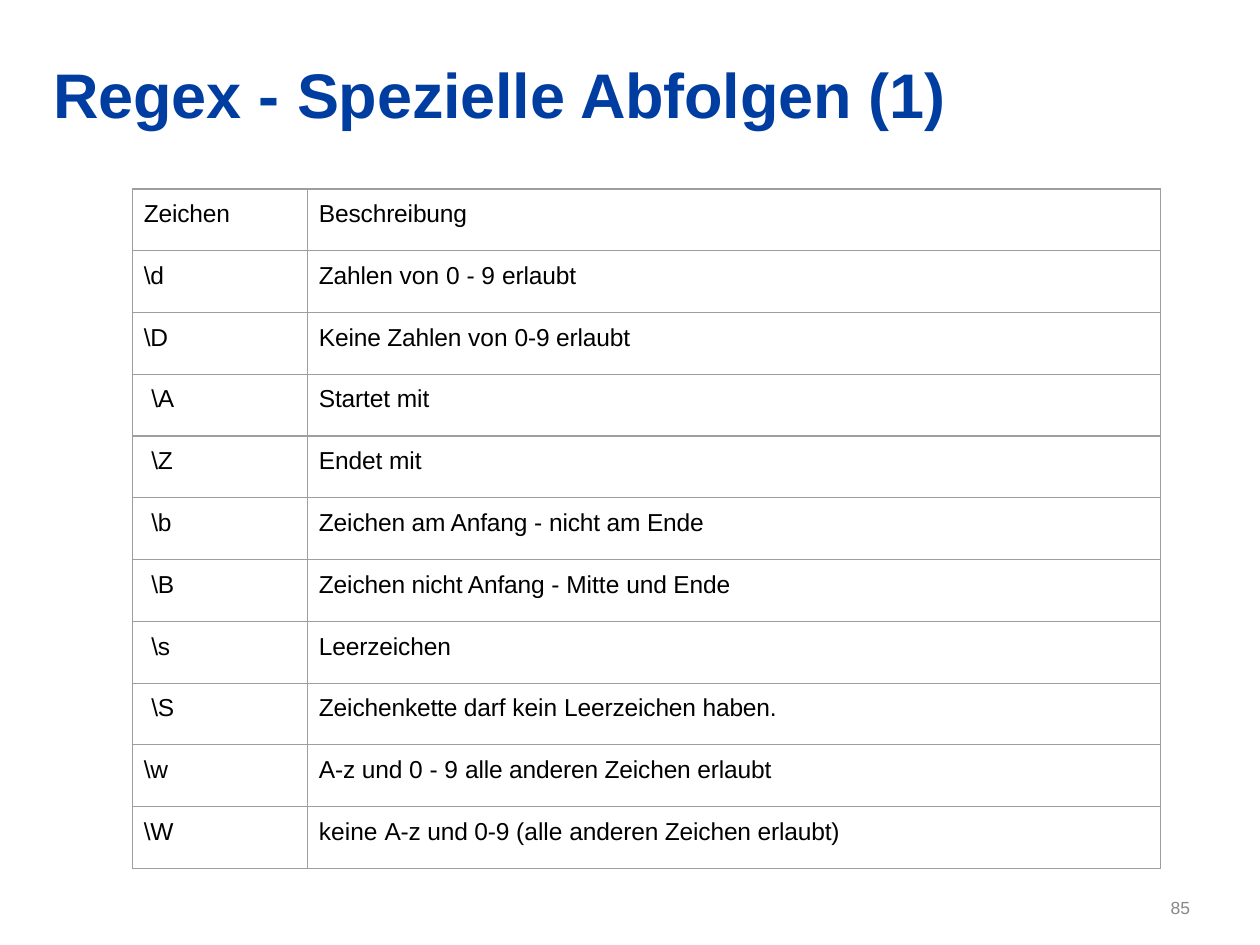
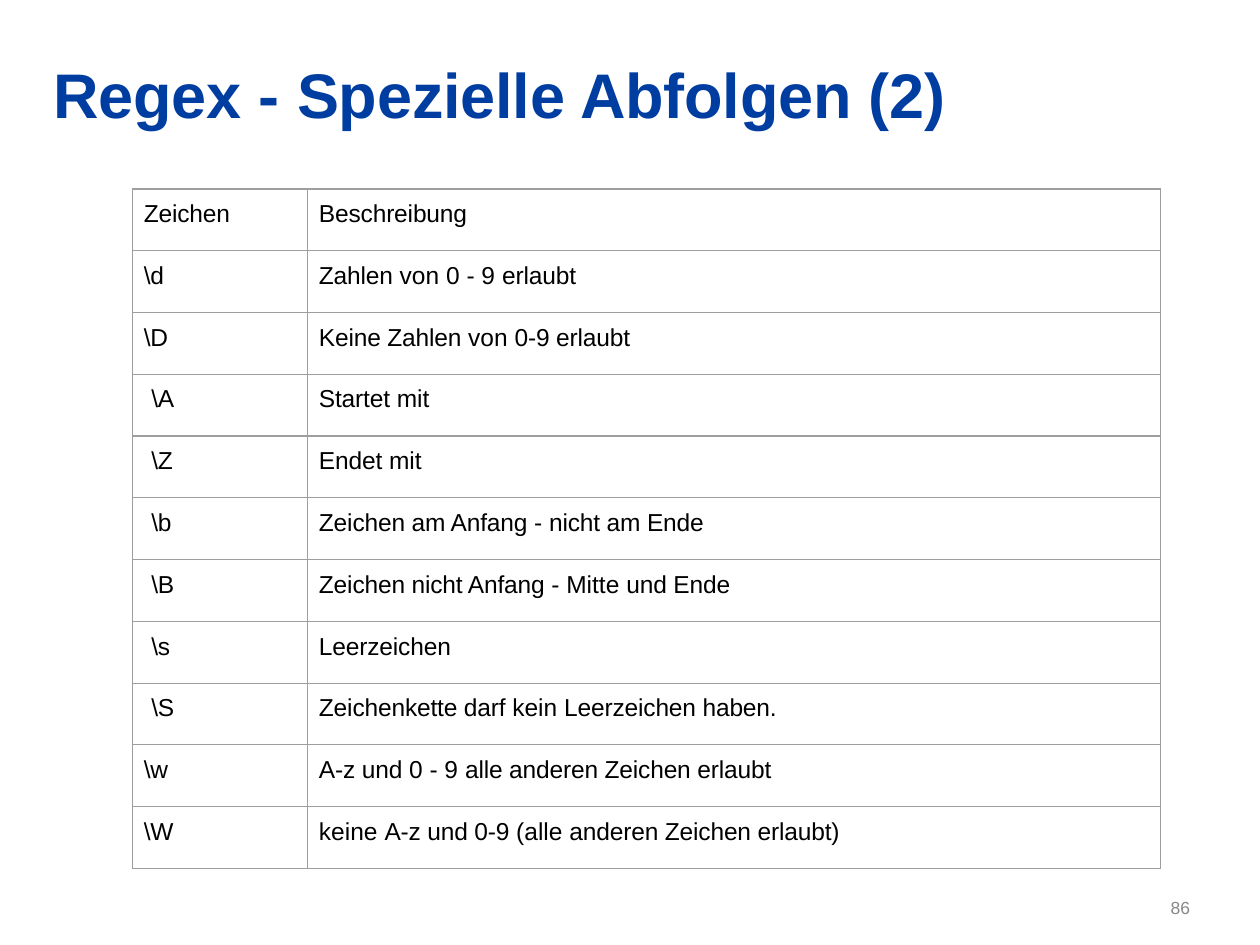
from lxml.etree import SubElement
from pptx import Presentation
from pptx.dml.color import RGBColor
from pptx.oxml.ns import qn
from pptx.util import Cm, Pt

BLUE = RGBColor(0x00, 0x3D, 0xA1)
BLACK = RGBColor(0x00, 0x00, 0x00)
GRAY = RGBColor(0x88, 0x88, 0x88)
BORDER = RGBColor(0x9E, 0x9E, 0x9E)

TITLE_FORMAT = {"name": "Arial", "size": Pt(36), "bold": True}
CELL_FORMAT = {"name": "Arial", "size": Pt(14), "bold": False}
NUMBER_FORMAT = {"name": "Arial", "size": Pt(10)}
NO_MARGINS = {"margin_left": 0, "margin_top": 0, "margin_right": 0, "margin_bottom": 0}
PLAIN_TABLE = {"first_row": False, "horz_banding": False}

COLUMN_WIDTHS = (Cm(3.53), Cm(17.2))
TABLE_HEIGHT = Cm(13.7)
CELL_INSET = Cm(0.23)
WIDE_INSET = Cm(0.38)
INDENTED = {r"\A", r"\Z", r"\b", r"\B", r"\s", r"\S"}
FIRST_NUMBER = 85

SEQUENCES = [
    ("Zeichen", "Beschreibung"),
    (r"\d", "Zahlen |von 0 - 9 |erlaubt"),
    (r"\D", "Keine Zahlen |von |0-9 erlaubt"),
    (r"\A", "Startet |mit"),
    (r"\Z", "Endet |mit"),
    (r"\b", "Zeichen am Anfang |- |nicht am Ende"),
    (r"\B", "Zeichen nicht Anfang |- Mitte |und Ende"),
    (r"\s", "Leerzeichen"),
    (r"\S", "Zeichenkette darf |kein |Leerzeichen haben."),
    (r"\w", "A-z und |0 - 9 |alle anderen Zeichen erlaubt"),
    (r"\W", "|keine |A-z und 0-9 |(alle |anderen Zeichen erlaubt)"),
]


def apply_values(target, values):
    """Set every attribute named in values on the target."""
    for name, value in values.items():
        setattr(target, name, value)


class RegexDeck:
    """Holds the deck style and the current slide."""

    def __init__(self):
        self.deck = Presentation()
        apply_values(self.deck, {"slide_width": Cm(25.4), "slide_height": Cm(19.05)})
        self.page = None

    def add_page(self):
        """Start a new blank slide."""
        self.page = self.deck.slides.add_slide(self.deck.slide_layouts[6])

    def fill_frame(self, frame, text, style, color):
        """Set text whose parts, split at bars, alternate tight and normal spacing."""
        para = frame.paragraphs[0]
        for index, part in enumerate(text.split("|")):
            if part:
                span = para.add_run()
                span.text = part
                apply_values(span.font, style)
                span.font.color.rgb = color
                if index % 2 == 0:
                    span._r.get_or_add_rPr().set("spc", "-10")

    def add_text(self, text, place, style, color):
        """Add a text box without margins."""
        box = self.page.shapes.add_textbox(*place)
        apply_values(box.text_frame, NO_MARGINS | {"word_wrap": True})
        self.fill_frame(box.text_frame, text, style, color)

    def add_title(self, text):
        """Add the slide title."""
        self.add_text(text, (Cm(1.07), Cm(1.12), Cm(18.2), Cm(1.6)), TITLE_FORMAT, BLUE)

    def add_number(self, number):
        """Add the slide number at the lower right."""
        place = (Cm(23.6), Cm(18.08), Cm(0.8), Cm(0.46))
        self.add_text(f"|{number}", place, NUMBER_FORMAT, GRAY)

    def add_borders(self, cell):
        """Draw a thin line on all four sides of a cell."""
        properties = cell._tc.get_or_add_tcPr()
        for side in ("a:lnL", "a:lnR", "a:lnT", "a:lnB"):
            line = SubElement(properties, qn(side), w=str(Pt(0.75)))
            fill = SubElement(line, qn("a:solidFill"))
            SubElement(fill, qn("a:srgbClr"), val=str(BORDER))

    def add_table(self, rows):
        """Add the bordered table of sequences."""
        table = self.page.shapes.add_table(
            len(rows), len(COLUMN_WIDTHS), Cm(2.67), Cm(3.81), sum(COLUMN_WIDTHS), TABLE_HEIGHT
        ).table
        apply_values(table, PLAIN_TABLE)
        for column, width in zip(table.columns, COLUMN_WIDTHS):
            column.width = width
        for row, texts in zip(table.rows, rows):
            for cell, text in zip(row.cells, texts):
                left = WIDE_INSET if text in INDENTED else CELL_INSET
                apply_values(cell, NO_MARGINS | {"margin_left": left, "margin_top": CELL_INSET})
                self.add_borders(cell)
                cell.fill.background()
                self.fill_frame(cell.text_frame, text, CELL_FORMAT, BLACK)


def main():
    """Build both slides and save the deck."""
    builder = RegexDeck()
    for part in (1, 2):
        builder.add_page()
        builder.add_title(f"Regex |- |Spezielle Abfolgen |({part})")
        builder.add_number(FIRST_NUMBER + part - 1)
        builder.add_table(SEQUENCES)
    builder.deck.save("out.pptx")


if __name__ == "__main__":
    main()
